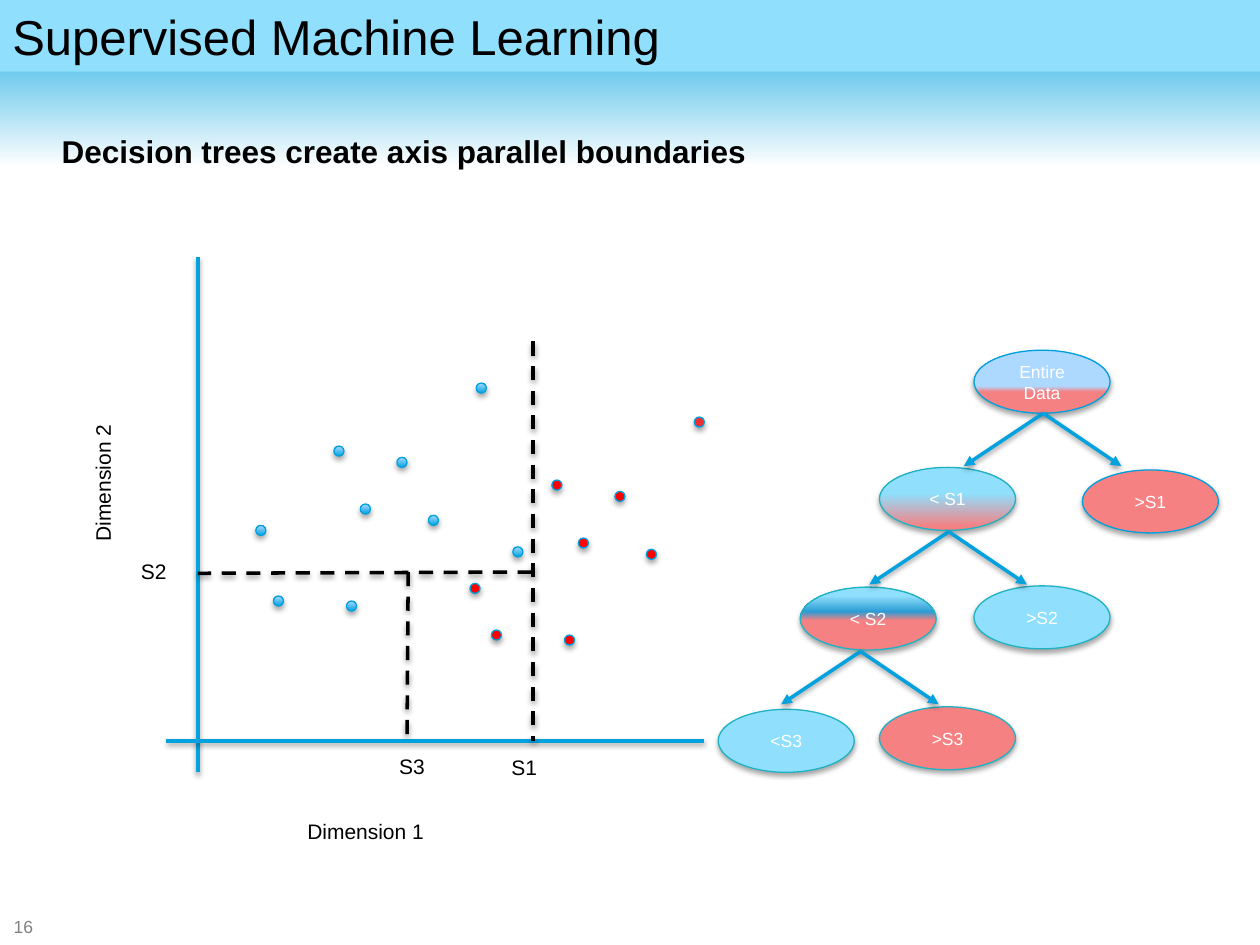
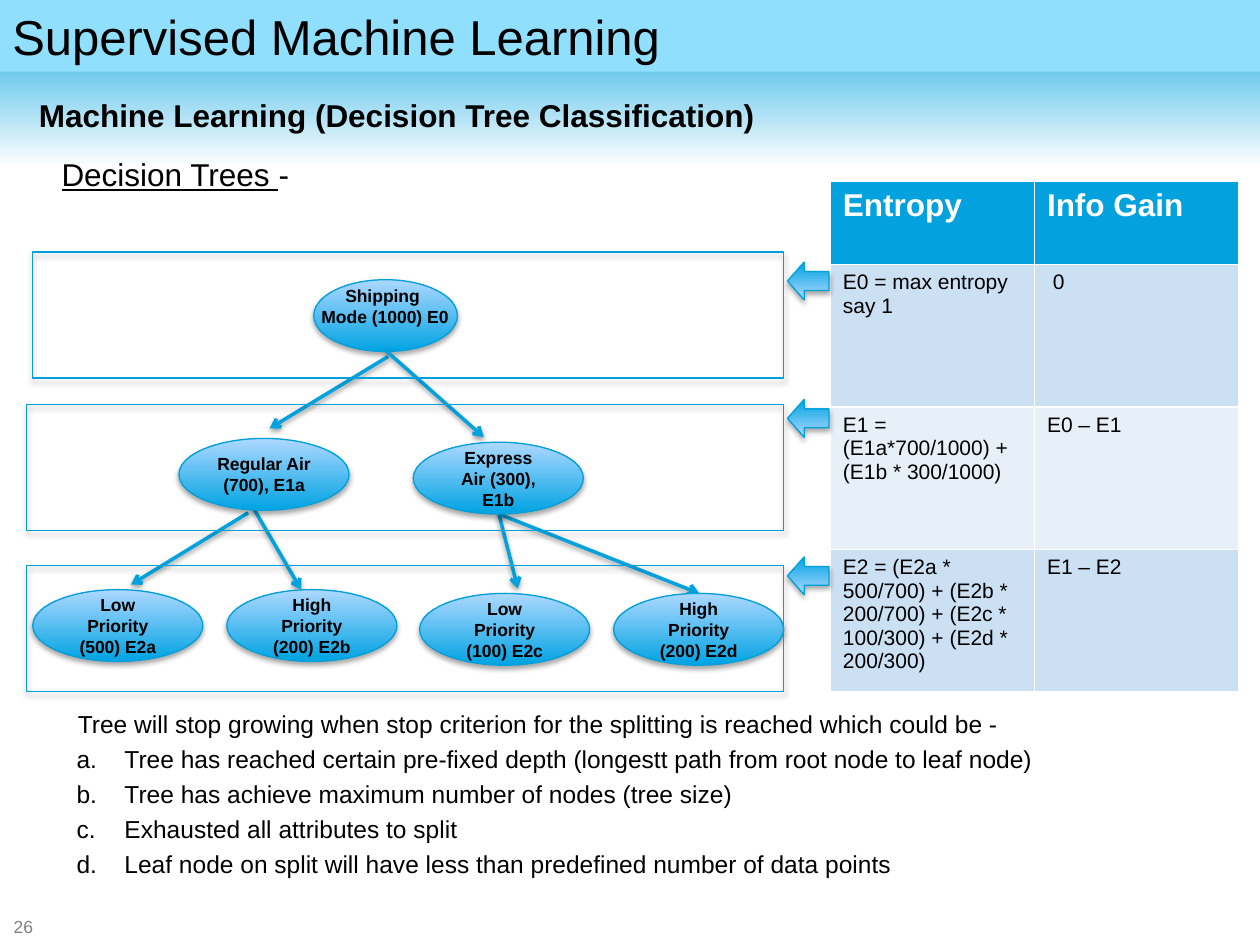
from lxml import etree
from pptx import Presentation
from pptx.dml.color import RGBColor
from pptx.enum.dml import MSO_LINE
from pptx.enum.shapes import MSO_CONNECTOR, MSO_SHAPE
from pptx.enum.text import MSO_ANCHOR, PP_ALIGN
from pptx.oxml.ns import qn
from pptx.util import Inches, Pt

RECT, OVAL, ARROW = MSO_SHAPE.RECTANGLE, MSO_SHAPE.OVAL, MSO_SHAPE.RIGHT_ARROW
STRAIGHT, DASH = MSO_CONNECTOR.STRAIGHT, MSO_LINE.DASH
CENTER, LEFT = PP_ALIGN.CENTER, PP_ALIGN.LEFT
MIDDLE, TOP = MSO_ANCHOR.MIDDLE, MSO_ANCHOR.TOP

COLORS = {
    "black": "000000", "white": "FFFFFF", "gray": "808080",
    "accent": "03A2DF", "outline": "00A0DD", "teal": "1DB3C3",
    "sky": "8FDFFD", "deep": "00A3E2", "pale": "ADD8FF", "mid": "2C9CD4",
    "pink": "F58183", "red": "FF0000", "brick": "EE2D30",
    "band_dark": "CCE0F3", "band_light": "E7F0F9",
}
DECK_TITLE = "Supervised Machine Learning"
# Gradient stops run from bottom to top
BLUE_FADE = [(0, "deep"), (100, "pale")]
HEADER_FADE = [(0, "white"), (100, "accent")]
# opacity %, blur pt, distance pt
SHAPE_SHADOW, LINE_SHADOW = (35, 3.1, 1.8), (38, 3.1, 1.6)

# Slide 1: scatter plot and its tree
BOUNDARY_HEADING = "Decision trees create axis parallel boundaries"
AXES = [((1.57, 2.04), (1.57, 6.13)), ((5.59, 5.88), (1.32, 5.88))]
SPLITS = [((4.23, 2.71), (4.23, 5.88)), ((4.22, 4.54), (1.57, 4.55)),
          ((3.24, 4.54), (3.23, 5.9))]
DOT = 0.08
DOTS = [
    (BLUE_FADE, [(2.65, 3.54), (3.15, 3.63), (2.86, 4), (3.4, 4.09), (2.03, 4.17),
                 (3.78, 3.04), (2.17, 4.73), (2.75, 4.77), (4.07, 4.34)]),
    ("red", [(4.38, 3.81), (4.88, 3.9), (4.59, 4.27), (5.13, 4.36),
             (3.9, 5), (4.48, 5.04), (3.73, 4.63)]),
    ("brick", [(5.51, 3.31)]),
]
PLOT_LABELS = [  # text, left, top, width, rotation
    ("S1", 3.96, 5.94, 0.52, 0), ("S2", 1.02, 4.38, 0.52, 0),
    ("S3", 3.07, 5.93, 0.52, 0), ("Dimension 1", 2.34, 6.45, 1.25, 0),
    ("Dimension 2", 0.19, 3.62, 1.25, 270),
]
SPLIT_NODE = (1.08, 0.5)
SPLIT_NODES = [  # text, left, top, fill, outline
    ("Entire Data", 7.73, 2.78, [(34, "pink"), (43, "pale")], "outline"),
    ("< S1", 6.98, 3.71, [(6, "pink"), (59, "sky")], "teal"),
    (">S1", 8.59, 3.73, "pink", "outline"),
    (">S2", 7.73, 4.65, "sky", "teal"),
    ("< S2", 6.35, 4.66, [(47, "pink"), (61, "mid"), (86, "sky")], "teal"),
    (">S3", 6.98, 5.61, "pink", "teal"),
    ("<S3", 5.7, 5.63, "sky", "teal"),
]
BRANCH_STARTS = [(8.28, 3.28), (7.53, 4.22), (6.83, 5.17)]
BRANCH_DX, BRANCH_DY = (-0.63, 0.62), 0.42

# Slide 2: shipping tree, entropy table, stop criteria
TREE_HEADING = "Machine Learning (Decision Tree Classification)"
ROOT_TEXT = ["Shipping ", "Mode (1000) E0"]
SHIP_NODE = (1.35, 0.57)
SHIP_NODES = [
    ("Regular Air (700), E1a", 1.42, 3.48), ("Express Air (300), E1b", 3.28, 3.51),
    ("Low Priority (500) E2a", 0.26, 4.68), ("High Priority (200) E2b", 1.8, 4.68),
    ("Low Priority (100) E2c", 3.33, 4.71), ("High Priority (200) E2d", 4.87, 4.71),
]
SHIP_BRANCHES = [
    ((3.08, 2.83), (2.14, 3.4)), ((3.06, 2.78), (3.84, 3.47)),
    ((1.97, 4.07), (1.04, 4.64)), ((2.01, 4.03), (2.39, 4.68)),
    ((3.96, 4.08), (4.11, 4.67)), ((3.96, 4.08), (5.55, 4.71)),
]
LEVELS = [(0.26, 2, 2.08), (0.21, 3.21, 3.17), (0.21, 4.49, 4.42)]  # left, top, arrow top
LEVEL_RIGHT = 6.22
ENTROPY_ROWS = [
    ("Entropy", "Info Gain"),
    ("E0 = max entropy say 1", " 0"),
    ("E1 = (E1a*700/1000) + (E1b * 300/1000)", "E0 – E1"),
    ("E2 = (E2a * 500/700) + (E2b * 200/700) + (E2c * 100/300) + (E2d * 200/300)",
     "E1 – E2"),
]
ROW_HEIGHTS, COLUMN_WIDTH = (0.66, 1.13, 1.13, 1.13), 1.62
STOP_INTRO = ("Tree will stop growing when stop criterion for the splitting "
              "is reached which could be -")
STOP_CRITERIA = [
    "Tree has reached certain pre-fixed depth (longestt path from root node to leaf node)",
    "Tree has achieve maximum number of nodes (tree size)",
    "Exhausted all attributes to split",
    "Leaf node on split will have less than predefined number of data points",
]


def rgb(name):
    return RGBColor.from_string(COLORS[name])


def child(parent, tag, **attrs):
    el = etree.SubElement(parent, qn(tag))
    for key, value in attrs.items():
        el.set(key, str(value))
    return el


def set_fill(sp, fill):
    """Fill with nothing, a colour name, or a list of gradient stops."""
    if fill is None:
        sp.fill.background()
    elif isinstance(fill, str):
        sp.fill.solid()
        sp.fill.fore_color.rgb = rgb(fill)
    else:
        sp.fill.gradient()
        sp.fill.gradient_angle = 90
        stops = sp.element.spPr.find(".//" + qn("a:gsLst"))
        for old in list(stops):
            stops.remove(old)
        for percent, color in fill:
            stop = child(stops, "a:gs", pos=percent * 1000)
            child(stop, "a:srgbClr", val=COLORS[color])


def set_shadow(sp, shadow):
    effects = child(sp.element.spPr, "a:effectLst")
    if shadow:
        opacity, blur, distance = shadow
        outer = child(effects, "a:outerShdw", blurRad=Pt(blur), dist=Pt(distance),
                      dir=90 * 60000, rotWithShape=0)
        color = child(outer, "a:srgbClr", val=COLORS["black"])
        child(color, "a:alpha", val=opacity * 1000)


def style(font, color, **fmt):
    for key, value in {"name": "Arial", **fmt}.items():
        setattr(font, key, value)
    font.color.rgb = rgb(color)


def write(tf, lines, size, color="black", align=LEFT, anchor=TOP, bold=False):
    tf.word_wrap = True
    tf.vertical_anchor = anchor
    for i, line in enumerate(lines):
        p = tf.add_paragraph() if i else tf.paragraphs[0]
        p.alignment = align
        r = p.add_run()
        r.text = line
        style(r.font, color, size=Pt(size), bold=bold)


def add_text(slide, box, lines, size, **options):
    sp = slide.shapes.add_textbox(*map(Inches, box))
    write(sp.text_frame, lines, size, **options)
    return sp


def add_shape(slide, kind, box, fill, outline="outline", shadow=SHAPE_SHADOW):
    sp = slide.shapes.add_shape(kind, *map(Inches, box))
    set_fill(sp, fill)
    if outline:
        sp.line.color.rgb = rgb(outline)
        sp.line.width = Pt(0.75)
    else:
        sp.line.fill.background()
    set_shadow(sp, shadow)
    return sp


def add_line(slide, start, end, color="accent", dash=None, head=None):
    cx = slide.shapes.add_connector(STRAIGHT, *map(Inches, start + end))
    cx.line.color.rgb = rgb(color)
    cx.line.width = Pt(2)
    if dash:
        cx.line.dash_style = dash
    if head:
        child(cx.element.spPr.find(qn("a:ln")), "a:tailEnd", type=head)
    set_shadow(cx, LINE_SHADOW)


def new_slide(prs, number):
    """Blank slide with the shared header, title and page number."""
    slide = prs.slides.add_slide(prs.slide_layouts[6])
    add_shape(slide, RECT, (0, 0, 10, 1.33), HEADER_FADE, None, None)
    add_text(slide, (0.01, 7.27, 0.39, 0.16), [str(number)], 10,
             color="gray", anchor=MIDDLE)
    title = add_shape(slide, RECT, (0, 0, 10, 0.57), "sky", None, None)
    write(title.text_frame, [DECK_TITLE], 28)
    return slide


def build_boundaries(prs):
    slide = new_slide(prs, 16)
    for start, end in AXES:
        add_line(slide, start, end)
    for fill, places in DOTS:
        for x, y in places:
            add_shape(slide, OVAL, (x, y, DOT, DOT), fill)
    for start, end in SPLITS:
        add_line(slide, start, end, "black", DASH)
    for text, x, y, width, rotation in PLOT_LABELS:
        sp = add_text(slide, (x, y, width, 0.3), [text], 12)
        sp.rotation = rotation
    for text, x, y, fill, outline in SPLIT_NODES:
        sp = add_shape(slide, OVAL, (x, y, *SPLIT_NODE), fill, outline)
        write(sp.text_frame, [text], 10, "white", CENTER, MIDDLE)
    for x, y in BRANCH_STARTS:
        for dx in BRANCH_DX:
            add_line(slide, (x, y), (x + dx, y + BRANCH_DY), head="triangle")
    add_text(slide, (0.39, 1, 7.58, 0.4), [BOUNDARY_HEADING], 18, bold=True)


def add_entropy_table(slide):
    rows, cols = len(ENTROPY_ROWS), len(ENTROPY_ROWS[0])
    box = (6.59, 1.44, cols * COLUMN_WIDTH, sum(ROW_HEIGHTS))
    table = slide.shapes.add_table(rows, cols, *map(Inches, box)).table
    for column in table.columns:
        column.width = Inches(COLUMN_WIDTH)
    for i, texts in enumerate(ENTROPY_ROWS):
        table.rows[i].height = Inches(ROW_HEIGHTS[i])
        header = i == 0
        fill = "accent" if header else ("band_light", "band_dark")[i % 2]
        for cell, text in zip(table.rows[i].cells, texts):
            set_cell = cell.fill
            set_cell.solid()
            set_cell.fore_color.rgb = rgb(fill)
            write(cell.text_frame, [text], 18 if header else 12,
                  "white" if header else "black", bold=header)


def add_stop_criteria(slide):
    sp = add_text(slide, (-0.04, 5.58, 9.37, 1.75), [STOP_INTRO, *STOP_CRITERIA], 14)
    for i, p in enumerate(sp.text_frame.paragraphs):
        pPr = p._p.get_or_add_pPr()
        pPr.set("marL", str(Inches(0.93 if i else 0.56)))
        if i:
            pPr.set("indent", str(Inches(-0.38)))
            child(pPr, "a:buFont", typeface="Arial")
            child(pPr, "a:buAutoNum", type="alphaLcPeriod")
            p.space_before = Pt(3.2)


def build_shipping_tree(prs):
    slide = new_slide(prs, 26)
    add_text(slide, (0.21, 0.71, 9.21, 0.45), [TREE_HEADING], 18, bold=True)
    sp = add_text(slide, (0.39, 1.18, 2.03, 0.4), ["Decision Trees "], 18)
    sp.text_frame.word_wrap = False
    p = sp.text_frame.paragraphs[0]
    p.runs[0].font.underline = True
    r = p.add_run()
    r.text = "-"
    style(r.font, "black", size=Pt(18))

    add_shape(slide, OVAL, (2.49, 2.22, 1.14, 0.57), BLUE_FADE)
    for start, end in SHIP_BRANCHES:
        add_line(slide, start, end, head="arrow")
    for text, x, y in SHIP_NODES:
        sp = add_shape(slide, OVAL, (x, y, *SHIP_NODE), BLUE_FADE)
        write(sp.text_frame, [text], 10, align=CENTER, anchor=MIDDLE, bold=True)
    add_text(slide, (2.38, 2.21, 1.35, 0.44), ROOT_TEXT, 10, align=CENTER, bold=True)
    for x, y, _ in LEVELS:
        add_shape(slide, RECT, (x, y, LEVEL_RIGHT - x, 1), None)
    add_entropy_table(slide)
    add_stop_criteria(slide)
    for _, _, y in LEVELS:
        sp = add_shape(slide, ARROW, (6.25, y, 0.33, 0.3), BLUE_FADE)
        sp.adjustments[0], sp.adjustments[1] = 0.5, 0.44
        sp.rotation = 180


def main():
    prs = Presentation()
    prs.slide_width, prs.slide_height = Inches(10), Inches(7.5)
    build_boundaries(prs)
    build_shipping_tree(prs)
    prs.save("out.pptx")


if __name__ == "__main__":
    main()
